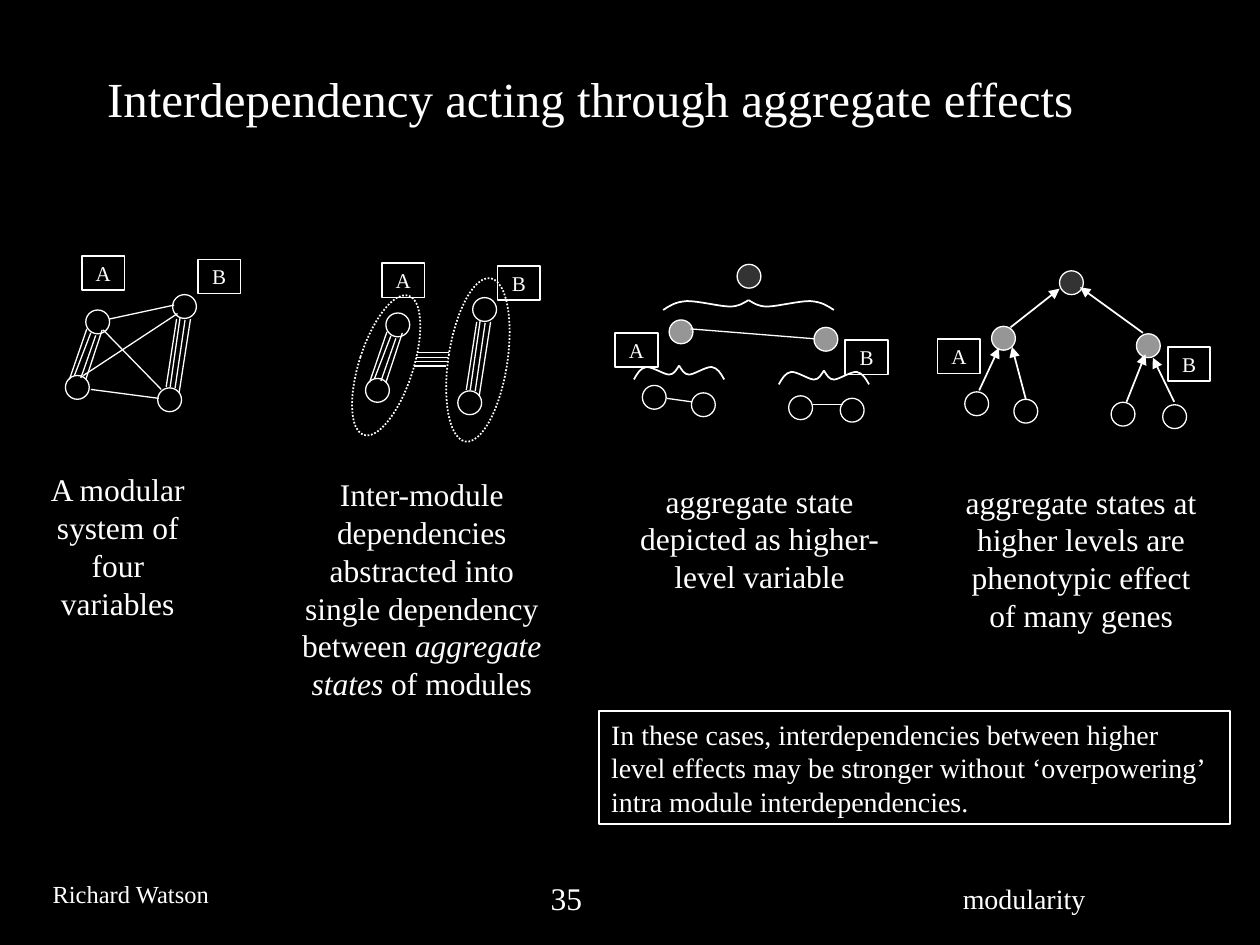
from lxml import etree
from pptx import Presentation
from pptx import util as u
from pptx.dml import color
from pptx.enum import dml, shapes, text
from pptx.oxml import ns

Cm, Pt = u.Cm, u.Pt
KIND = shapes.MSO_SHAPE
MID = text.PP_ALIGN.CENTER
LEFT = text.PP_ALIGN.LEFT
HUE = {"back": "000000", "ink": "FFFFFF", "grey": "969696", "dark": "333333"}
FACE = {"name": "Times New Roman", "bold": False}
TAG = {"margin_left": 0, "margin_right": 0, "margin_top": 0,
       "margin_bottom": 0, "word_wrap": False,
       "vertical_anchor": text.MSO_ANCHOR.MIDDLE}
BODY = {"margin_left": Cm(0.25), "margin_right": Cm(0.25),
        "margin_top": Cm(0.13), "margin_bottom": Cm(0.13),
        "word_wrap": True, "vertical_anchor": text.MSO_ANCHOR.TOP}
HEAD = BODY | {"vertical_anchor": text.MSO_ANCHOR.MIDDLE}

NODE, TALL, WIDE = 0.48, 0.69, 0.86
CROSS = [(1.83, 7.85, 3.2, 8.03), (2.21, 6.43, 3.51, 6.15),
         (2.08, 6.65, 3.25, 7.85), (1.68, 7.57, 3.58, 6.32)]
PAIRS = [(3.18, 7.82), (3.48, 5.94), (1.73, 6.25), (1.32, 7.57)]
BARS = [(3.56, 6.43, 3.35, 7.8), (3.63, 6.4, 3.43, 7.8),
        (3.73, 6.45, 3.53, 7.82), (3.84, 6.43, 3.61, 7.92),
        (1.5, 7.57, 1.83, 6.71), (1.4, 7.65, 1.75, 6.63),
        (1.63, 7.62, 1.93, 6.76), (1.73, 7.65, 2.06, 6.65)]
RINGS = [(7.24, 5.89, 1.09, 2.95, 17.8), (9.04, 5.59, 1.19, 3.33, 8.7)]
TREE = [(15.9, 7.98, None), (16.94, 8.03, None), (12.95, 7.77, None),
        (13.94, 7.92, None), (13.49, 6.45, "grey"), (16.41, 6.6, "grey"),
        (14.86, 5.33, "dark")]
TIES = [(13.44, 8.03, 13.94, 8.1), (16.38, 8.15, 16.99, 8.15),
        (16.43, 6.83, 13.92, 6.63)]
ARROWS = [(19.74, 7.87, 20.14, 7.01), (22.71, 8.1, 23.09, 7.14),
          (20.68, 8.05, 20.4, 6.99), (23.67, 8.1, 23.24, 7.21),
          (20.37, 6.6, 21.36, 5.82), (23.04, 6.71, 21.77, 5.79)]
BRACES = [(16.61, 7.47, 0.91, 0.28), (13.69, 7.37, 0.91, 0.28),
          (15.09, 6.05, 1.72, 0.2)]
CURVE = [(0, 1), (0.08, 0.55), (0.14, 0.18), (0.28, 0.1), (0.42, 0.1),
         (0.67, 0.65), (0.78, 0.65), (0.89, 0.65), (0.94, 0.3), (1, 0)]


def rgb(key):
    """Return the named colour."""
    return color.RGBColor.from_string(HUE[key])


def apply(item, vals):
    """Set each attribute of item from a dict."""
    for key, val in vals.items():
        setattr(item, key, val)


def stroke(item, width):
    """Give an element a plain line in the ink colour."""
    item.line.color.rgb = rgb("ink")
    item.line.width = Pt(width)


def write(item, runs, size, align=LEFT, frame=BODY):
    """Write (words, italic) runs as one paragraph."""
    apply(item.text_frame, frame)
    para = item.text_frame.paragraphs[0]
    para.alignment = align
    for words, slant in runs:
        run = para.add_run()
        run.text = words
        apply(run.font, FACE | {"size": Pt(size), "italic": slant})
        run.font.color.rgb = rgb("ink")


def block(pool, box, words, size, align=LEFT):
    """Add a text box; words is a string or a list of runs."""
    item = pool.add_textbox(*map(Cm, box))
    runs = [(words, False)] if isinstance(words, str) else words
    write(item, runs, size, align)


def shape(pool, kind, box, width, fill=None):
    """Add an outlined shape, filled if a colour is named."""
    item = pool.add_shape(kind, *map(Cm, box))
    item.shadow.inherit = False
    stroke(item, width)
    if fill:
        item.fill.solid()
        item.fill.fore_color.rgb = rgb(fill)
    else:
        item.fill.background()
    return item


def node(pool, x, y, fill=None):
    """Add a variable as a small circle."""
    shape(pool, KIND.OVAL, (x, y, NODE, NODE), 0.75, fill)


def labels(pool, *spots):
    """Add the module letters A and B."""
    for name, (x, y) in zip("AB", spots):
        item = shape(pool, KIND.RECTANGLE, (x, y, WIDE, TALL), 1)
        write(item, [(name, False)], 12, MID, TAG)


def link(pool, ends, width=0.75, arrow=False):
    """Add a straight line, with an arrowhead if asked."""
    item = pool.add_connector(shapes.MSO_CONNECTOR.STRAIGHT, *map(Cm, ends))
    stroke(item, width)
    if arrow:
        etree.SubElement(item.line._get_or_add_ln(), ns.qn("a:tailEnd"),
                         type="triangle", w="med", len="med")
    etree.SubElement(item._element.spPr, ns.qn("a:effectLst"))


def brace(pool, x, y, wide, high):
    """Add two mirrored curves that meet at the tip (x, y)."""
    for side in (-1, 1):
        pts = [(Cm(x + side * wide * (1 - a)), Cm(y + high * b))
               for a, b in CURVE]
        form = pool.build_freeform(*pts[0])
        form.add_line_segments(pts[1:], close=False)
        item = form.convert_to_shape()
        item.shadow.inherit = False
        item.fill.background()
        stroke(item, 1)
        track = item._element.find(".//" + ns.qn("a:path"))
        steps = track.findall(ns.qn("a:lnTo"))
        for i in range(0, len(steps), 3):
            bend = etree.SubElement(track, ns.qn("a:cubicBezTo"))
            for step in steps[i:i + 3]:
                bend.append(step[0])
                track.remove(step)


def pairs(pool, dx, dy):
    """Add two tightly bound pairs of variables."""
    for x, y in PAIRS:
        node(pool, x + dx, y + dy)
    for a, b, c, d in BARS:
        link(pool, (a + dx, b + dy, c + dx, d + dy))


def tree(pool, dx, dy):
    """Add three levels of nodes with module letters."""
    labels(pool, (12.4 + dx, 6.71 + dy), (17.04 + dx, 6.86 + dy))
    for x, y, fill in TREE:
        node(pool, x + dx, y + dy, fill)


def system(pool):
    """Draw the modular system of four variables."""
    for ends in CROSS:
        link(pool, ends)
    labels(pool, (1.65, 5.16), (3.99, 5.23))
    pairs(pool, 0, 0)
    block(pool, (0.61, 9.35, 3.53, 3.3),
          "A modular system of four variables", 18, MID)


def modules(pool):
    """Draw the two modules with one shared dependency."""
    for *box, turn in RINGS:
        ring = shape(pool, KIND.OVAL, box, 1)
        ring.rotation = turn
        ring.line.dash_style = dml.MSO_LINE.ROUND_DOT
    labels(pool, (7.7, 5.31), (10.03, 5.36))
    pairs(pool, 6.05, 0.06)
    for i in range(4):
        x, y = 8.41 - 0.02 * i, 7.11 + 0.09 * i
        link(pool, (x, y, x + 0.65, y))
    block(pool, (5.84, 9.45, 5.33, 5.59),
          [("Inter-module dependencies abstracted into single dependency "
            "between ", False), ("aggregate states ", True),
           ("of modules", False)], 18, MID)


def levels(pool):
    """Draw aggregate states as higher-level variables."""
    tree(pool, 0, 0)
    for spot in BRACES:
        brace(pool, *spot)
    for ends in TIES:
        link(pool, ends)
    block(pool, (12.65, 9.58, 5.33, 2.54),
          "aggregate state depicted as higher-level variable", 18, MID)


def genes(pool):
    """Draw aggregate states as effects of many genes."""
    tree(pool, 6.5, 0.13)
    for ends in ARROWS:
        link(pool, ends, 1, True)
    block(pool, (19.13, 9.6, 5.33, 3.3), "aggregate states at higher levels "
          "are phenotypic effect of many genes", 18, MID)


def main():
    """Build and save the slide."""
    deck = Presentation()
    apply(deck, {"slide_width": Cm(25.4), "slide_height": Cm(19.05)})
    slide = deck.slides.add_slide(deck.slide_layouts[5])
    slide.background.fill.solid()
    slide.background.fill.fore_color.rgb = rgb("back")
    pool = slide.shapes
    apply(pool.title, {"left": Cm(1.91), "top": Cm(1.04),
                       "width": Cm(21.59), "height": Cm(1.85)})
    write(pool.title, [("Interdependency acting through aggregate effects",
                        False)], 28, LEFT, HEAD)
    for draw in (system, modules, levels, genes):
        draw(pool.add_group_shape().shapes)
    note = shape(pool, KIND.RECTANGLE, (12.07, 14.33, 12.73, 2.29), 1)
    write(note, [("In these cases, interdependencies between higher level "
                  "effects may be stronger without ‘overpowering’ intra "
                  "module interdependencies.", False)], 16)
    block(pool, (0.81, 17.6, 4, 0.86), "Richard Watson", 14)
    block(pool, (10.85, 17.6, 3.15, 1.02), "35", 18)
    block(pool, (19.16, 17.65, 6.1, 0.91), "modularity", 16)
    deck.save("out.pptx")


if __name__ == "__main__":
    main()
